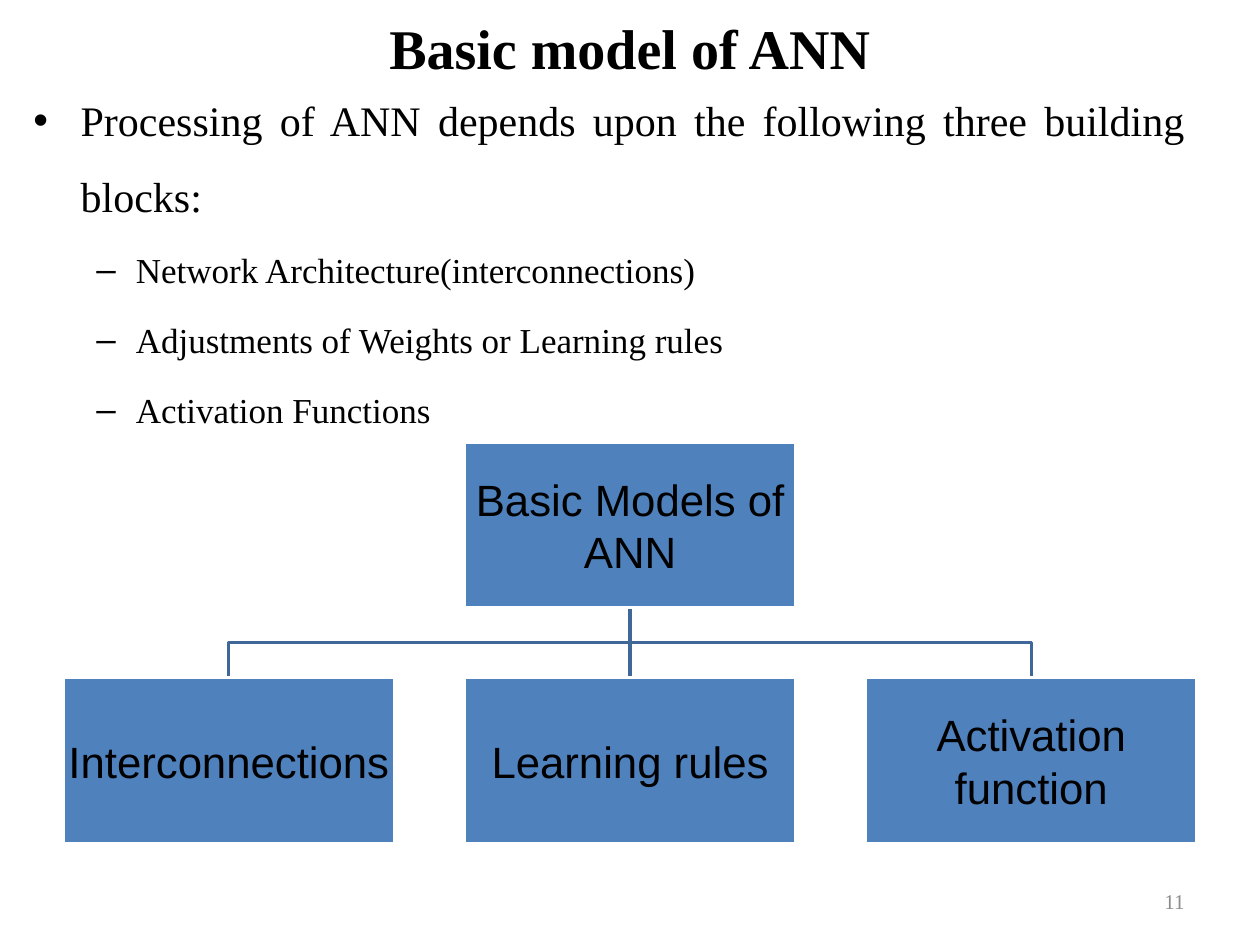
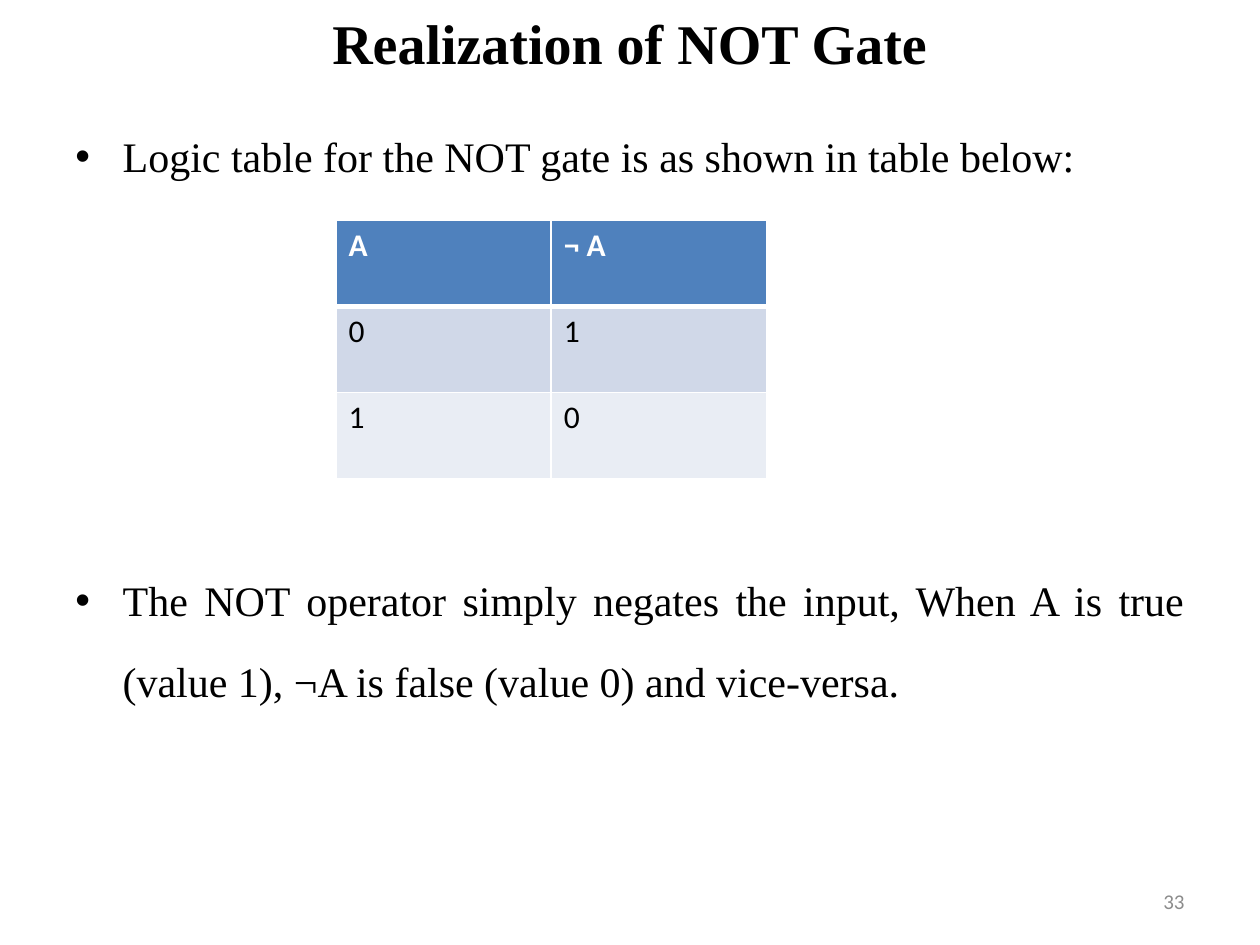
from lxml.etree import SubElement
from pptx import Presentation
from pptx.dml.color import RGBColor
from pptx.enum.shapes import MSO_CONNECTOR as Connector, MSO_SHAPE as Preset
from pptx.enum.text import MSO_ANCHOR as Anchor, PP_ALIGN as Align
from pptx.oxml.ns import qn
from pptx.util import Pt

BLACK = RGBColor(0x00, 0x00, 0x00)
WHITE = RGBColor(0xFF, 0xFF, 0xFF)
GREY = RGBColor(0x8C, 0x8C, 0x8C)
BLUE = RGBColor(0x4F, 0x81, 0xBD)
DARK_BLUE = RGBColor(0x3F, 0x67, 0x97)
ROW_TINTS = (BLUE, RGBColor(0xD0, 0xD8, 0xE8), RGBColor(0xE9, 0xED, 0xF4))

SERIF, SANS, TABLE_FONT = "Times New Roman", "Arial", "Calibri"
WIDTH, HEIGHT = 720, 540
BULLETS = (
    {"char": "•", "indent": 27, "hang": 27, "size": 24},
    {"char": "–", "indent": 58.5, "hang": 22.5, "size": 20},
)


def apply(target, formats):
    for attribute, value in formats.items():
        setattr(target, attribute, value)


class Deck:
    def __init__(self):
        self.presentation = Presentation()
        apply(self.presentation, {"slide_width": Pt(WIDTH), "slide_height": Pt(HEIGHT)})
        self.slide = None

    def new_slide(self, heading, heading_height, number, number_font):
        self.slide = self.presentation.slides.add_slide(self.presentation.slide_layouts[6])
        self.label(heading, (0, 0, WIDTH, heading_height), Align.CENTER, SERIF, 32, bold=True)
        self.label(number, (516, 500.5, 168, 28.8), Align.RIGHT, number_font, 12, GREY)

    def add_text(self, paragraph, text, font, size, color=BLACK, bold=False):
        run = paragraph.add_run()
        run.text = text
        apply(run.font, {"name": font, "size": Pt(size), "bold": bold})
        run.font.color.rgb = color

    def frame(self, area, anchor):
        frame = self.slide.shapes.add_textbox(*map(Pt, area)).text_frame
        apply(frame, {"word_wrap": True, "vertical_anchor": anchor})
        return frame

    def label(self, text, area, align, font, size, color=BLACK, bold=False):
        paragraph = self.frame(area, Anchor.MIDDLE).paragraphs[0]
        paragraph.alignment = align
        self.add_text(paragraph, text, font, size, color, bold)

    def bullets(self, area, line_spacing, items):
        frame = self.frame(area, Anchor.TOP)
        for index, (level, text, extra_gap) in enumerate(items):
            paragraph = frame.add_paragraph() if index else frame.paragraphs[0]
            style = BULLETS[level]
            apply(paragraph, {
                "level": level,
                "alignment": Align.JUSTIFY,
                "line_spacing": line_spacing,
                "space_before": Pt(style["size"] * 0.2 + extra_gap),
            })
            properties = paragraph._p.get_or_add_pPr()
            properties.set("marL", str(Pt(style["indent"])))
            properties.set("indent", str(-Pt(style["hang"])))
            SubElement(properties, qn("a:buFont"), typeface=SANS)
            SubElement(properties, qn("a:buChar"), char=style["char"])
            self.add_text(paragraph, text, SERIF, style["size"])

    def box(self, text, area):
        box = self.slide.shapes.add_shape(Preset.RECTANGLE, *map(Pt, area))
        box.shadow.inherit = False
        box.fill.solid()
        box.fill.fore_color.rgb = BLUE
        self.stroke(box.line, WHITE)
        frame = box.text_frame
        apply(frame, {"word_wrap": True, "vertical_anchor": Anchor.MIDDLE})
        apply(frame, {f"margin_{side}": Pt(1.25) for side in ("left", "top", "right", "bottom")})
        frame.paragraphs[0].alignment = Align.CENTER
        self.add_text(frame.paragraphs[0], text, SANS, 25)
        return box

    def stroke(self, line, color):
        line.color.rgb = color
        line.width = Pt(2)

    def straight(self, start, end):
        link = self.slide.shapes.add_connector(Connector.STRAIGHT, *map(Pt, start + end))
        SubElement(link._element.spPr, qn("a:effectLst"))
        self.stroke(link.line, DARK_BLUE)
        return link

    def elbow(self, start, end):
        middle = (start[1] + end[1]) / 2
        corners = ((start[0], middle), (end[0], middle), end)
        builder = self.slide.shapes.build_freeform(*map(Pt, start))
        builder.add_line_segments([(Pt(x), Pt(y)) for x, y in corners], close=False)
        branch = builder.convert_to_shape()
        branch.shadow.inherit = False
        branch.fill.background()
        self.stroke(branch.line, DARK_BLUE)

    def borders(self, cell, widths):
        properties = cell._tc.get_or_add_tcPr()
        for side, width in widths.items():
            edge = SubElement(properties, qn(f"a:ln{side}"), w=str(Pt(width)))
            SubElement(SubElement(edge, qn("a:solidFill")), qn("a:srgbClr"), val=str(WHITE))

    def table(self, rows, left, top, column_width, row_height):
        count = len(rows[0])
        area = (left, top, column_width * count, row_height * len(rows))
        table = self.slide.shapes.add_table(len(rows), count, *map(Pt, area)).table
        for y, (row, tint) in enumerate(zip(rows, ROW_TINTS)):
            header = y == 0
            for x, text in enumerate(row):
                cell = table.cell(y, x)
                self.borders(cell, {"L": 1, "R": 1, "T": 3 if y == 1 else 1, "B": 3 if header else 1})
                cell.fill.solid()
                cell.fill.fore_color.rgb = tint
                self.add_text(cell.text_frame.paragraphs[0], text, TABLE_FONT, 18,
                              WHITE if header else BLACK, header)


def basic_model(deck):
    deck.new_slide("Basic model of ANN", 54, "11", SERIF)
    deck.bullets((12, 36, 672, 486), 1.5, (
        (0, "Processing of ANN depends upon the following three building blocks:", 0),
        (1, "Network Architecture(interconnections)", 0),
        (1, "Adjustments of Weights or Learning rules", 0),
        (1, "Activation Functions", 0),
    ))
    box_width, box_height, pitch = 189.4, 94.7, 229.3
    root_top, block_top = 252.5, 387.2
    lefts = [36 + pitch * column for column in range(3)]
    centers = [left + box_width / 2 for left in lefts]
    fork = (centers[1], root_top + box_height)
    deck.elbow(fork, (centers[2], block_top))
    trunk = deck.straight(fork, (centers[1], block_top))
    deck.elbow(fork, (centers[0], block_top))
    root = deck.box("Basic Models of ANN", (lefts[1], root_top, box_width, box_height))
    blocks = [
        deck.box(text, (left, block_top, box_width, box_height))
        for text, left in zip(("Interconnections", "Learning rules", "Activation function"), lefts)
    ]
    trunk.begin_connect(root, 2)
    trunk.end_connect(blocks[1], 0)


def not_gate(deck):
    deck.new_slide("Realization of NOT Gate", 48, "33", TABLE_FONT)
    table_gap = 202.6
    deck.bullets((36, 54, 648, 456), 1.6, (
        (0, "Logic table for the NOT gate is as shown in table below:", 0),
        (0, "The NOT operator simply negates the input, When A is true (value 1), "
            "¬A is false (value 0) and vice-versa.", table_gap),
    ))
    deck.table((("A", "¬ A"), ("0", "1"), ("1", "0")), 192, 126, 123, 49.2)


def main():
    deck = Deck()
    basic_model(deck)
    not_gate(deck)
    deck.presentation.save("out.pptx")


if __name__ == "__main__":
    main()
